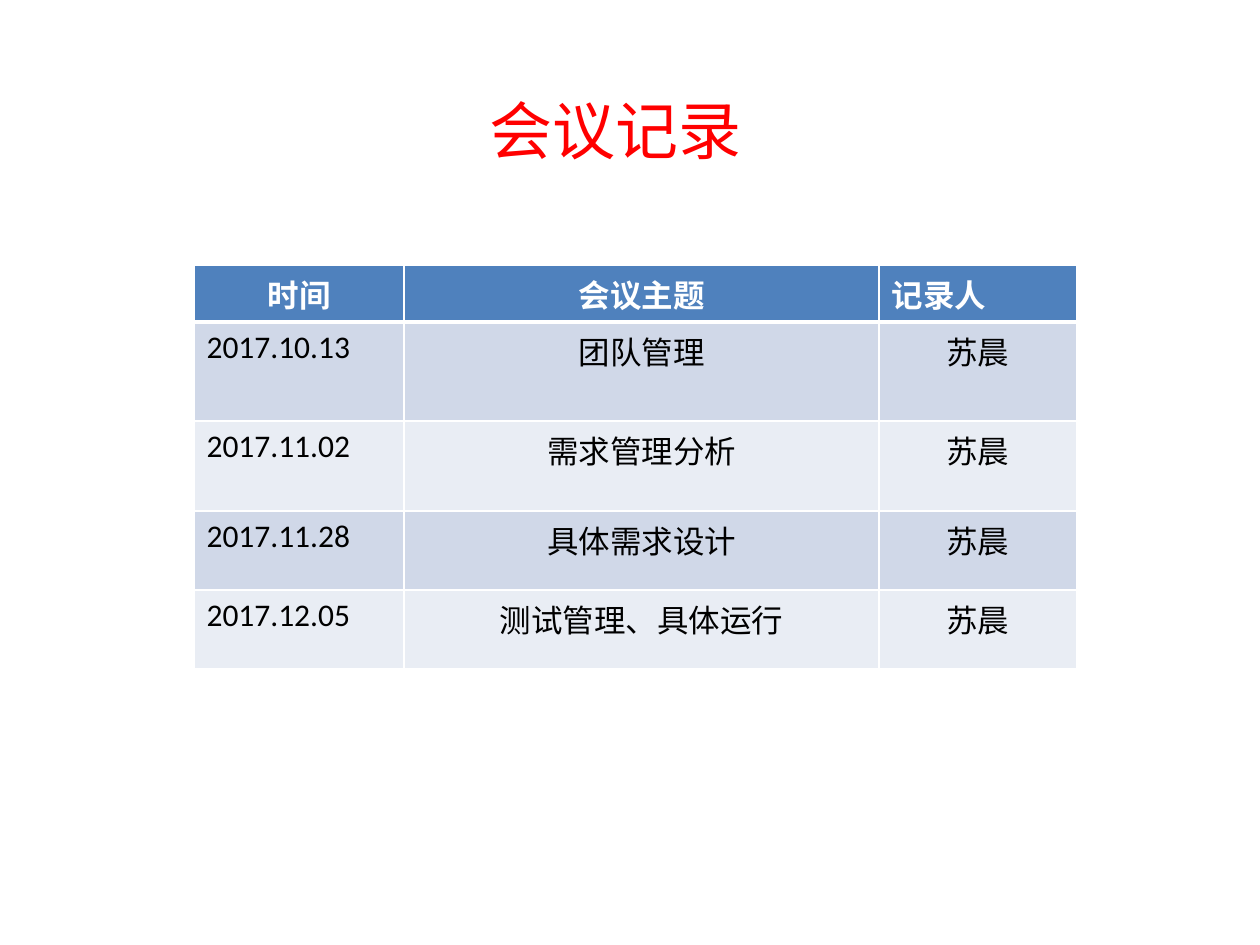
from typing import NamedTuple

import lxml.etree
import pptx
import pptx.dml.color
import pptx.enum.text
import pptx.oxml.ns
import pptx.util

PX = 914400 // 126
FONT = "Calibri"
WHITE, BLACK, RED = "FFFFFF", "000000", "FF0000"
HEADER_FILL = "4F81BD"
BAND_FILLS = ("D0D8E8", "E9EDF4")
LEFT = pptx.enum.text.PP_ALIGN.LEFT
CENTER = pptx.enum.text.PP_ALIGN.CENTER
COLUMN_WIDTHS = (210, 475, 198)
HEADER_ALIGNMENTS = (CENTER, CENTER, LEFT)
BODY_ALIGNMENTS = (LEFT, CENTER, CENTER)


class Meeting(NamedTuple):
    date: str
    topic: str
    recorder: str
    height: int


HEADER = Meeting("时间", "会议主题", "记录人", 57)
MEETINGS = (
    Meeting("2017.10.13", "团队管理", "苏晨", 99),
    Meeting("2017.11.02", "需求管理分析", "苏晨", 90),
    Meeting("2017.11.28", "具体需求设计", "苏晨", 79),
    Meeting("2017.12.05", "测试管理、具体运行", "苏晨", 79),
)


def px(length: int) -> pptx.util.Emu:
    return pptx.util.Emu(length * PX)


def rgb(color: str) -> pptx.dml.color.RGBColor:
    return pptx.dml.color.RGBColor.from_string(color)


def write_text(text_frame, text: str, *, size: int, color: str,
               bold: bool = False, alignment=CENTER) -> None:
    paragraph = text_frame.paragraphs[0]
    paragraph.alignment = alignment
    run = paragraph.add_run()
    run.text = text
    run.font.name = FONT
    run.font.size = pptx.util.Pt(size)
    run.font.bold = bold
    run.font.color.rgb = rgb(color)


def add_border(cell, side: str, points: int) -> None:
    qn = pptx.oxml.ns.qn
    properties = cell._tc.get_or_add_tcPr()
    line = lxml.etree.SubElement(properties, qn(f"a:ln{side}"), w=str(pptx.util.Pt(points)))
    fill = lxml.etree.SubElement(line, qn("a:solidFill"))
    lxml.etree.SubElement(fill, qn("a:srgbClr"), val=WHITE)


def add_title(slide) -> None:
    title = slide.shapes.add_textbox(px(333), px(55), px(566), px(118))
    title.text_frame.word_wrap = True
    title.text_frame.vertical_anchor = pptx.enum.text.MSO_ANCHOR.BOTTOM
    write_text(title.text_frame, "会议记录", size=36, color=RED)


def fill_row(table, index: int, meeting: Meeting) -> None:
    is_header = index == 0
    table.rows[index].height = px(meeting.height)
    alignments = HEADER_ALIGNMENTS if is_header else BODY_ALIGNMENTS
    borders = {"L": 1, "R": 1, "T": 3 if index == 1 else 1, "B": 3 if is_header else 1}
    texts = (meeting.date, meeting.topic, meeting.recorder)
    for column, (text, alignment) in enumerate(zip(texts, alignments)):
        cell = table.cell(index, column)
        for side, points in borders.items():
            add_border(cell, side, points)
        cell.fill.solid()
        cell.fill.fore_color.rgb = rgb(HEADER_FILL if is_header else BAND_FILLS[(index - 1) % 2])
        write_text(cell.text_frame, text, size=18, bold=is_header,
                   color=WHITE if is_header else BLACK, alignment=alignment)


def add_meeting_table(slide) -> None:
    meetings = (HEADER, *MEETINGS)
    height = sum(meeting.height for meeting in meetings)
    table = slide.shapes.add_table(len(meetings), len(COLUMN_WIDTHS), px(194), px(265),
                                   px(sum(COLUMN_WIDTHS)), px(height)).table
    for column, width in zip(table.columns, COLUMN_WIDTHS):
        column.width = px(width)
    for index, meeting in enumerate(meetings):
        fill_row(table, index, meeting)


def main() -> None:
    """Build the meeting record slide."""
    presentation = pptx.Presentation()
    presentation.slide_width = px(1260)
    presentation.slide_height = px(945)
    slide = presentation.slides.add_slide(presentation.slide_layouts[6])
    add_title(slide)
    add_meeting_table(slide)
    presentation.save("out.pptx")


if __name__ == "__main__":
    main()
